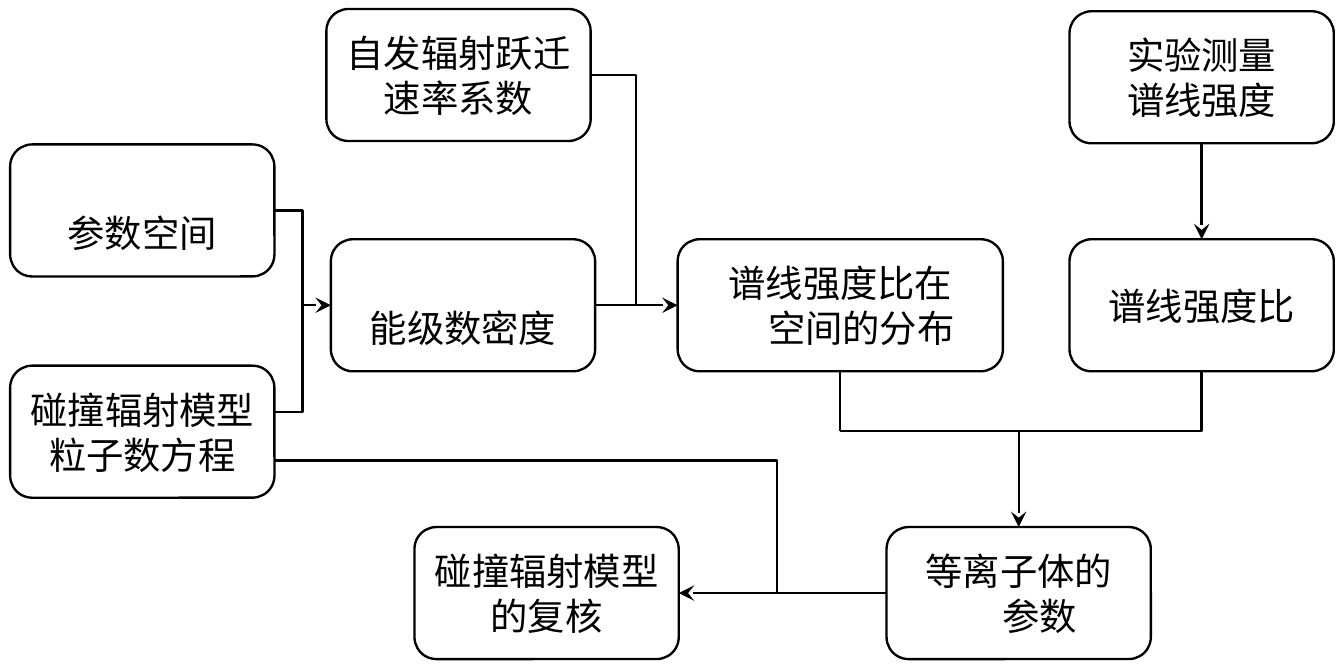
from dataclasses import dataclass
from typing import NamedTuple

import pptx
import pptx.dml.color
import pptx.enum.shapes
import pptx.enum.text
import pptx.oxml.ns
import pptx.util
from lxml import etree

PX = 9144
BOX_W, BOX_H = 234, 117
TOP, LEFT, BOTTOM, RIGHT = range(4)
COLORS = {"ink": "000000", "paper": "FFFFFF"}
FONT, SIZE, LINE_WIDTH = "Arial", 23.8, 1.5


@dataclass(frozen=True)
class Box:
    key: str
    text: str
    x: int
    y: int
    w: int = BOX_W
    inset_top: int = 6
    indent: int = 0


class Point(NamedTuple):
    x: int
    y: int


class Port(NamedTuple):
    box: str
    side: int


@dataclass(frozen=True)
class Link:
    start: Point | Port
    end: Point | Port
    arrow: bool = False
    bend: int | None = None


BOXES = [
    Box("space", "参数空间", 9, 128, inset_top=46),
    Box("model", "碰撞辐射模型\v粒子数方程", 9, 324),
    Box("levels", "能级数密度", 293, 212, inset_top=46),
    Box("rates", "自发辐射跃迁\n速率系数", 289, 8),
    Box("distribution", "谱线强度比在\n空间的分布", 600, 212, w=288, indent=37),
    Box("measured", "实验测量\n谱线强度", 947, 10),
    Box("ratio", "谱线强度比", 947, 212),
    Box("plasma", "等离子体的\n参数", 785, 467, indent=37),
    Box("review", "碰撞辐射模型的复核", 367, 467),
]

LINKS = [
    Link(Port("space", RIGHT), Port("levels", LEFT), arrow=True, bend=50),
    Link(Point(243, 365), Point(268, 270), bend=100),
    Link(Port("levels", RIGHT), Port("distribution", LEFT), arrow=True),
    Link(Port("rates", RIGHT), Point(563, 270), bend=100),
    Link(Port("measured", BOTTOM), Port("ratio", TOP), arrow=True),
    Link(Point(744, 382), Port("ratio", BOTTOM), bend=100),
    Link(Point(902, 382), Port("plasma", TOP), arrow=True),
    Link(Port("distribution", BOTTOM), Point(744, 382)),
    Link(Port("plasma", LEFT), Port("review", RIGHT), arrow=True),
    Link(Point(243, 408), Point(688, 525), bend=100),
]


def px(n: int) -> pptx.util.Emu:
    return pptx.util.Emu(n * PX)


def rgb(name: str) -> pptx.dml.color.RGBColor:
    return pptx.dml.color.RGBColor.from_string(COLORS[name])


def style_line(line) -> None:
    line.color.rgb = rgb("ink")
    line.width = pptx.util.Pt(LINE_WIDTH)


def write_text(tf, text: str, *, size: float = SIZE, color: str = "ink",
               inset_top: int = 6, indent: int = 0) -> None:
    tf.word_wrap = True
    tf.vertical_anchor = pptx.enum.text.MSO_ANCHOR.MIDDLE
    tf.margin_left = tf.margin_right = px(11)
    tf.margin_top, tf.margin_bottom = px(inset_top), px(6)
    for i, line in enumerate(text.split("\n")):
        p = tf.add_paragraph() if i else tf.paragraphs[0]
        p.text = line
        p.alignment = pptx.enum.text.PP_ALIGN.CENTER
        if i and indent:
            p._p.get_or_add_pPr().set("marL", str(px(indent)))
        for r in p.runs:
            r.font.name = FONT
            r.font.size = pptx.util.Pt(size)
            r.font.color.rgb = rgb(color)


def draw_box(shapes, box: Box):
    sp = shapes.add_shape(pptx.enum.shapes.MSO_SHAPE.ROUNDED_RECTANGLE,
                          px(box.x), px(box.y), px(box.w), px(BOX_H))
    sp.shadow.inherit = False
    sp.fill.solid()
    sp.fill.fore_color.rgb = rgb("paper")
    style_line(sp.line)
    write_text(sp.text_frame, box.text, inset_top=box.inset_top, indent=box.indent)
    return sp


def locate(end: Point | Port, drawn: dict) -> tuple[int, int]:
    if isinstance(end, Point):
        return px(end.x), px(end.y)
    sp = drawn[end.box]
    dx, dy = {TOP: (1, 0), LEFT: (0, 1), BOTTOM: (1, 2), RIGHT: (2, 1)}[end.side]
    return sp.left + sp.width * dx // 2, sp.top + sp.height * dy // 2


def draw_link(shapes, link: Link, drawn: dict) -> None:
    kinds = pptx.enum.shapes.MSO_CONNECTOR
    kind = kinds.STRAIGHT if link.bend is None else kinds.ELBOW
    cxn = shapes.add_connector(kind, *locate(link.start, drawn), *locate(link.end, drawn))
    if isinstance(link.start, Port):
        cxn.begin_connect(drawn[link.start.box], link.start.side)
    if isinstance(link.end, Port):
        cxn.end_connect(drawn[link.end.box], link.end.side)
    style_line(cxn.line)
    qn = pptx.oxml.ns.qn
    sp_pr = cxn._element.spPr
    if link.bend is not None:
        guides = sp_pr.find(qn("a:prstGeom")).get_or_add_avLst()
        etree.SubElement(guides, qn("a:gd"), name="adj1", fmla=f"val {link.bend * 1000}")
    if link.arrow:
        etree.SubElement(sp_pr.find(qn("a:ln")), qn("a:tailEnd"),
                         type="stealth", w="lg", len="lg")
    etree.SubElement(sp_pr, qn("a:effectLst"))


def main() -> None:
    prs = pptx.Presentation()
    prs.slide_width, prs.slide_height = px(1190), px(591)
    s = prs.slides.add_slide(prs.slide_layouts[6])
    drawn = {box.key: draw_box(s.shapes, box) for box in BOXES}
    for link in LINKS:
        draw_link(s.shapes, link, drawn)
    prs.save("out.pptx")


if __name__ == "__main__":
    main()
